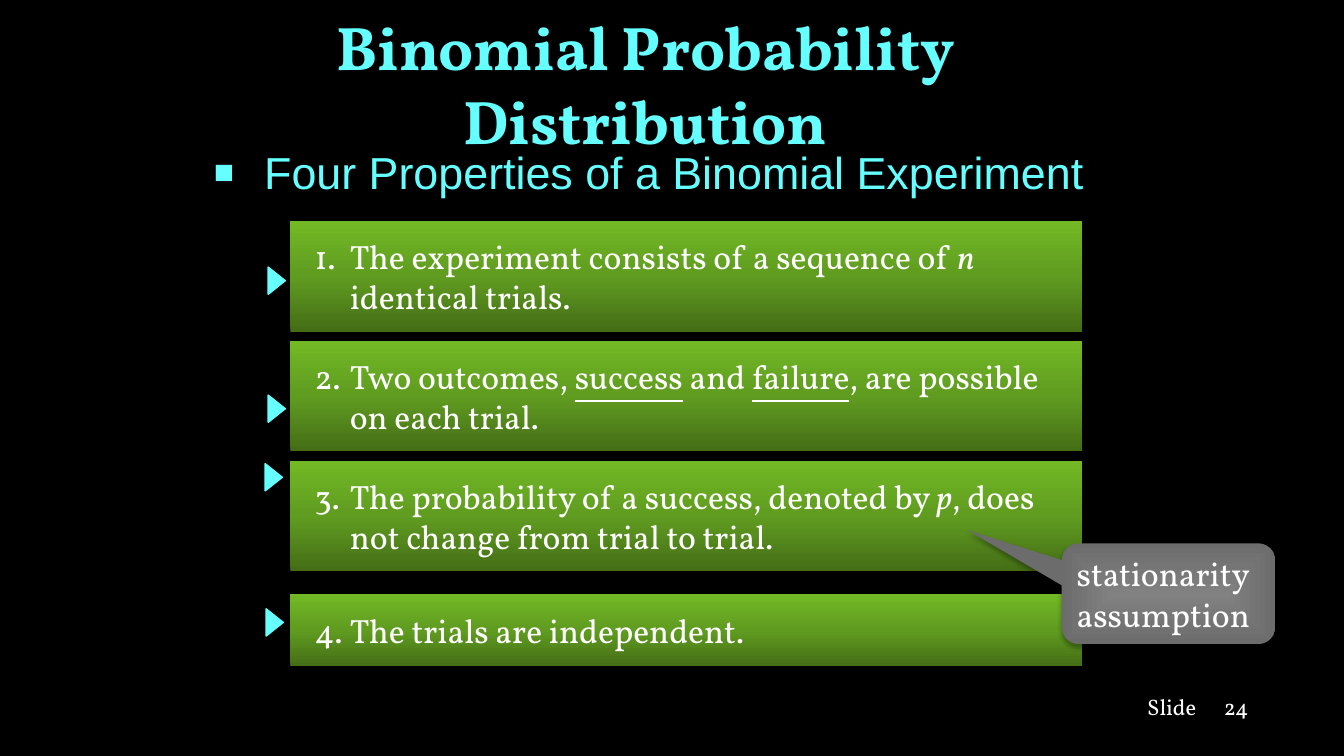
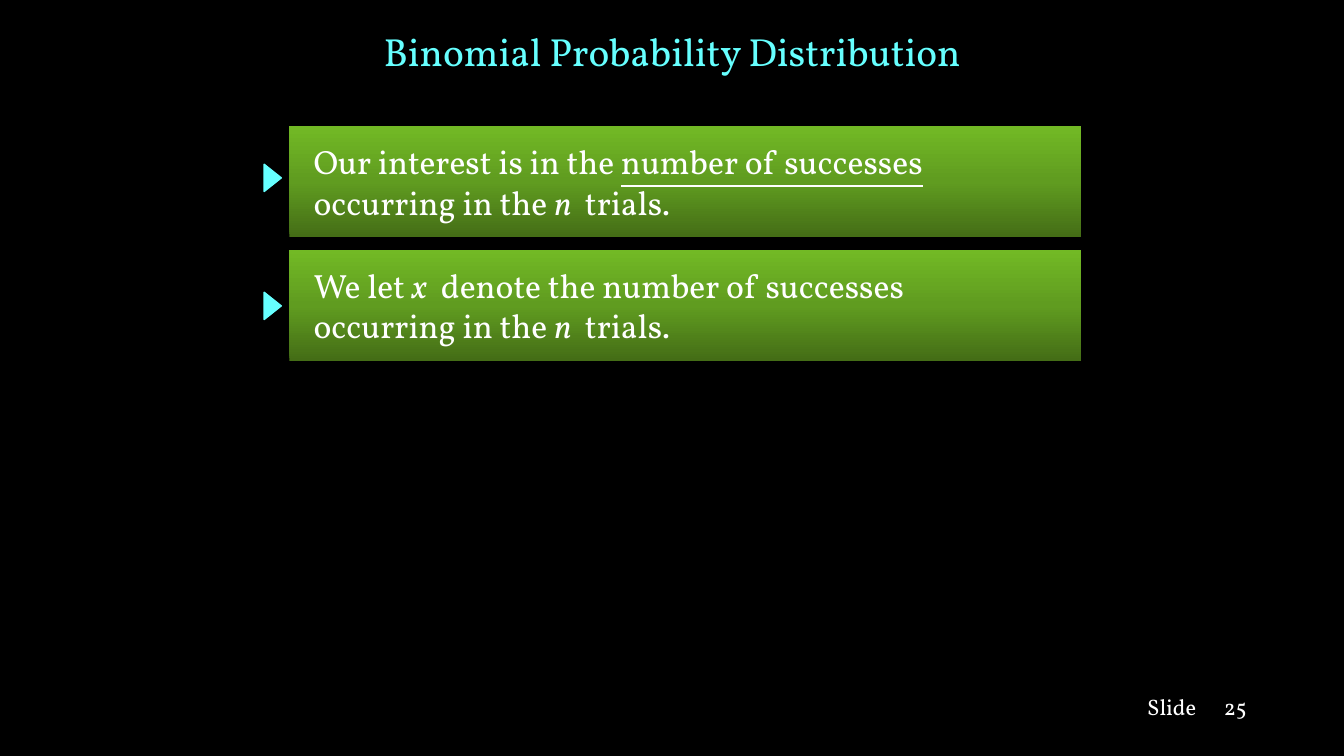
import pptx
import pptx.dml.color
import pptx.enum.shapes
import pptx.enum.text
import pptx.oxml
import pptx.oxml.ns
import pptx.util

Inches = pptx.util.Inches
Pt = pptx.util.Pt
RGBColor = pptx.dml.color.RGBColor
Shape = pptx.enum.shapes.MSO_SHAPE
Anchor = pptx.enum.text.MSO_ANCHOR
Align = pptx.enum.text.PP_ALIGN

BLACK = RGBColor(0x00, 0x00, 0x00)
WHITE = RGBColor(0xFF, 0xFF, 0xFF)
CYAN = RGBColor(0x66, 0xFF, 0xFF)
DARK_GREEN = RGBColor(0x44, 0x6D, 0x16)
MID_GREEN = RGBColor(0x60, 0x9C, 0x20)
LIGHT_GREEN = RGBColor(0x72, 0xB9, 0x25)
LIGHT_GRAY = RGBColor(0x81, 0x81, 0x81)
DARK_GRAY = RGBColor(0x6C, 0x6C, 0x6C)

SERIF = "Vollkorn"
SANS = "Arial"
TITLE = "Binomial Probability Distribution"
BAND_WIDTH = 7.85
BAND_HEIGHT = 1.1

UPWARD = '<a:lin ang="16200000" scaled="0"/>'
FROM_CENTER = (
    '<a:path path="rect">'
    '<a:fillToRect l="50000" t="50000" r="50000" b="50000"/></a:path>'
)
SHADOW = (
    '<a:outerShdw blurRad="44450" dist="27940" dir="5400000">'
    '<a:srgbClr val="000000"><a:alpha val="32000"/></a:srgbClr></a:outerShdw>'
)


def make_element(tag, content, attributes=""):
    namespace = pptx.oxml.ns.nsdecls("a")
    return pptx.oxml.parse_xml(
        f"<a:{tag} {namespace} {attributes}>{content}</a:{tag}>"
    )


def style_span(span, size, color=WHITE, font=SERIF, bold=False):
    span.font.name = font
    span.font.size = Pt(size)
    span.font.color.rgb = color
    span.font.bold = bold


def set_bullet(para, indent, color, font, size, tag, attributes):
    properties = para._p.get_or_add_pPr()
    properties.set("marL", str(Inches(indent)))
    properties.set("indent", str(-Inches(indent)))
    properties.append(make_element("buClr", f'<a:srgbClr val="{color}"/>'))
    properties.append(make_element("buSzPct", "", f'val="{size * 1000}"'))
    properties.append(make_element("buFont", "", f'typeface="{font}"'))
    properties.append(make_element(tag, "", attributes))


def place(box, left, top, width, height):
    box.left, box.top = Inches(left), Inches(top)
    box.width, box.height = Inches(width), Inches(height)


def set_title(page, bounds, size, bold):
    title = page.shapes.title
    place(title, *bounds)
    title.text_frame.text = TITLE
    title.text_frame.vertical_anchor = Anchor.MIDDLE
    para = title.text_frame.paragraphs[0]
    para.alignment = Align.CENTER
    style_span(para.runs[0], size, CYAN, bold=bold)


def set_heading(page, text):
    body = page.placeholders[1]
    place(body, 2.02, 1.39, 8.89, 4.72)
    body.text_frame.text = text
    para = body.text_frame.paragraphs[0]
    set_bullet(para, 0.5, CYAN, SANS, 75, "buChar", 'char="■"')
    style_span(para.runs[0], 32, CYAN, SANS)


def add_label(page, text, left, width):
    box = page.shapes.add_textbox(
        Inches(left), Inches(6.83), Inches(width), Inches(0.37)
    )
    box.text_frame.word_wrap = True
    box.text_frame.text = text
    style_span(box.text_frame.paragraphs[0].runs[0], 16)


def add_footer(page, number):
    add_label(page, "Slide", 11.28, 0.75)
    add_label(page, str(number), 12.04, 0.5)


def add_plain_shape(page, kind, left, top, width, height):
    shape = page.shapes.add_shape(
        kind, Inches(left), Inches(top), Inches(width), Inches(height)
    )
    shape.shadow.inherit = False
    shape.line.fill.background()
    return shape


def fill_gradient(shape, stops, direction):
    shape.fill.background()
    stop_xml = "".join(
        f'<a:gs pos="{position * 1000}"><a:srgbClr val="{color}"/></a:gs>'
        for position, color in stops
    )
    gradient = make_element("gradFill", f"<a:gsLst>{stop_xml}</a:gsLst>{direction}")
    properties = shape.element.spPr
    properties.replace(properties.find(pptx.oxml.ns.qn("a:noFill")), gradient)


def add_band(page, left, top, spans, height=BAND_HEIGHT, number=None):
    band = add_plain_shape(page, Shape.RECTANGLE, left, top, BAND_WIDTH, height)
    fill_gradient(
        band, [(0, DARK_GREEN), (50, MID_GREEN), (100, LIGHT_GREEN)], UPWARD
    )
    frame = band.text_frame
    frame.word_wrap = True
    frame.vertical_anchor = Anchor.MIDDLE
    frame.margin_left = Inches(0.24)
    frame.margin_right = Inches(0.3)
    para = frame.paragraphs[0]
    para.alignment = Align.LEFT
    if number:
        set_bullet(
            para, 0.35, WHITE, SERIF, 100,
            "buAutoNum", f'type="arabicPeriod" startAt="{number}"',
        )
    for text, emphasis in spans:
        span = para.add_run()
        span.text = text
        style_span(span, 24)
        span.font.italic = emphasis == "italic"
        span.font.underline = emphasis == "underline"


def add_marker(page, left, top):
    marker = add_plain_shape(page, Shape.ISOSCELES_TRIANGLE, left, top, 0.27, 0.17)
    marker.rotation = 90
    marker.fill.solid()
    marker.fill.fore_color.rgb = CYAN
    marker.line.color.rgb = CYAN
    marker.line.width = Pt(1)


def add_callout(page, text):
    callout = add_plain_shape(
        page, Shape.ROUNDED_RECTANGULAR_CALLOUT, 10.53, 5.39, 2.12, 1
    )
    for index, value in enumerate((-0.94, -0.63, 0.17)):
        callout.adjustments[index] = value
    fill_gradient(callout, [(0, LIGHT_GRAY), (100, DARK_GRAY)], FROM_CENTER)
    effects = callout.element.spPr.find(pptx.oxml.ns.qn("a:effectLst"))
    effects.append(make_element("effectLst", SHADOW)[0])
    callout.text_frame.text = text
    callout.text_frame.vertical_anchor = Anchor.TOP
    for para in callout.text_frame.paragraphs:
        para.alignment = Align.LEFT
        style_span(para.runs[0], 24)


def build_properties_page(deck):
    page = deck.slides.add_slide(deck.slide_layouts[1])
    add_footer(page, 24)
    set_title(page, (1.45, 0.43, 9.9, 0.79), 44, True)
    set_heading(page, "Four Properties of a Binomial Experiment")
    properties = [
        (2.19, BAND_HEIGHT, (2.61, 2.7), [
            ("The experiment consists of a sequence of ", None),
            ("n", "italic"),
            (" identical trials.", None),
        ]),
        (3.38, BAND_HEIGHT, (2.61, 3.97), [
            ("Two outcomes, ", None),
            ("success", "underline"),
            (" and ", None),
            ("failure", "underline"),
            (", are possible on each trial.", None),
        ]),
        (4.57, BAND_HEIGHT, (2.58, 4.65), [
            ("The probability of a success, denoted by ", None),
            ("p", "italic"),
            (", does not change from trial to trial.", None),
        ]),
        (5.89, 0.72, (2.59, 6.09), [("The trials are independent.", None)]),
    ]
    for number, (top, height, marker, spans) in enumerate(properties, 1):
        add_band(page, 2.88, top, spans, height, number)
        add_marker(page, *marker)
    add_callout(page, "stationarity\nassumption")


def build_interest_page(deck):
    page = deck.slides.add_slide(deck.slide_layouts[5])
    add_footer(page, 25)
    set_title(page, (1, 0.06, 11.33, 0.89), 28, False)
    ending = [("n", "italic"), ("  trials.", None)]
    statements = [
        (1.25, 1.68, [
            ("Our interest is in the ", None),
            ("number of successes", "underline"),
            (" occurring in the ", None),
        ]),
        (2.48, 2.95, [
            ("We let ", None),
            ("x", "italic"),
            ("  denote the number of successes occurring in the ", None),
        ]),
    ]
    for top, marker_top, spans in statements:
        add_band(page, 2.87, top, spans + ending)
        add_marker(page, 2.57, marker_top)


def main():
    deck = pptx.Presentation()
    deck.slide_width, deck.slide_height = Inches(13.33), Inches(7.5)
    background = deck.slide_master.background.fill
    background.solid()
    background.fore_color.rgb = BLACK
    build_properties_page(deck)
    build_interest_page(deck)
    deck.save("out.pptx")


if __name__ == "__main__":
    main()
